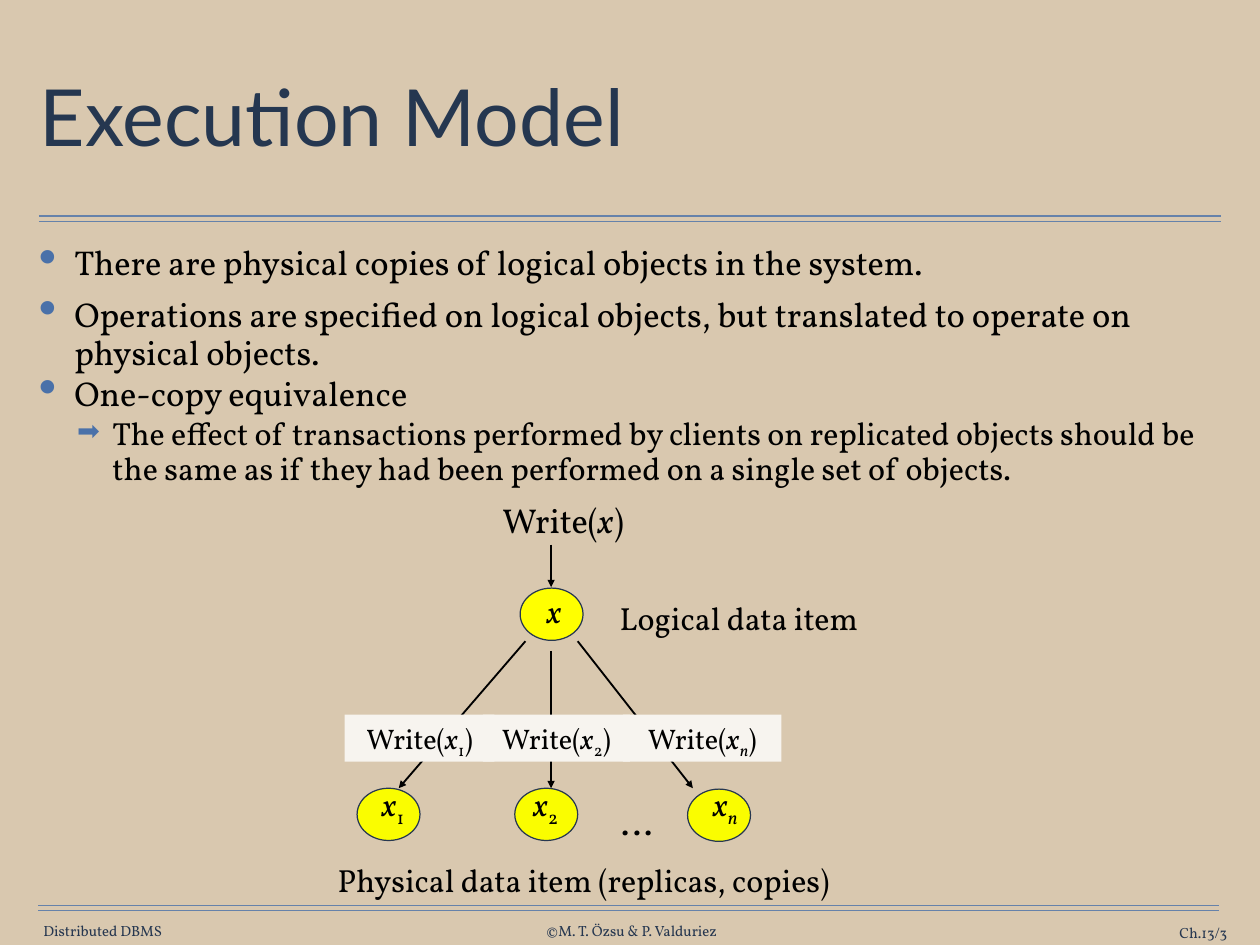
from lxml import etree
from pptx import Presentation
from pptx import util as u
from pptx.dml.color import RGBColor
from pptx.enum import shapes, text
from pptx.oxml import ns

COLORS = {
    "sand": "D9C8AF", "rule": "6682AA", "navy": "263750", "title": "253750",
    "black": "000000", "bullet": "4A71A9", "logical": "FFFF00",
    "physical": "FAFD00", "label": "F7F4EF",
}
SERIF = "Vollkorn"
LEFT, MID, RIGHT = text.PP_ALIGN.LEFT, text.PP_ALIGN.CENTER, text.PP_ALIGN.RIGHT
TOP, CENTRE = text.MSO_ANCHOR.TOP, text.MSO_ANCHOR.MIDDLE
SNUG, ROOMY = (0.1, 0.05), (0.14, 0.07)


def rgb(name):
    return RGBColor.from_string(COLORS[name])


def child(parent, tag, **attrs):
    return etree.SubElement(parent, ns.qn(tag), attrs)


def add_run(para, words, size, color="black", font=SERIF, style=""):
    """Style letters: i for italic, s for subscript."""
    run = para.add_run()
    run.text = words
    run.font.size = u.Pt(size)
    run.font.name = font
    run.font.italic = "i" in style
    run.font.color.rgb = rgb(color)
    if "s" in style:
        run._r.get_or_add_rPr().set("baseline", "-25000")


def add_box(slide, at, inset=ROOMY, anchor=TOP, wrap=False, fill=None):
    box = slide.shapes.add_textbox(*map(u.Inches, at))
    frame = box.text_frame
    frame.word_wrap = wrap
    frame.vertical_anchor = anchor
    frame.margin_left = frame.margin_right = u.Inches(inset[0])
    frame.margin_top = frame.margin_bottom = u.Inches(inset[1])
    if fill:
        box.fill.solid()
        box.fill.fore_color.rgb = rgb(fill)
    return frame


def add_label(slide, at, runs, size, align=MID, color="black", font=SERIF, **box):
    para = add_box(slide, at, **box).paragraphs[0]
    para.alignment = align
    for words, style in runs:
        add_run(para, words, size, color, font, style)
    return para


def add_line(slide, start, end, color="black", width=1.5, arrow=True):
    line = slide.shapes.add_connector(
        shapes.MSO_CONNECTOR.STRAIGHT, *map(u.Inches, start + end))
    line.line.color.rgb = rgb(color)
    line.line.width = u.Pt(width)
    if arrow:
        child(line.line._get_or_add_ln(), "a:tailEnd", type="triangle")
    child(line._element.spPr, "a:effectLst")


def add_node(slide, left, top, fill):
    node = slide.shapes.add_shape(
        shapes.MSO_SHAPE.OVAL, *map(u.Inches, (left, top, 0.71, 0.59)))
    node.shadow.inherit = False
    node.fill.solid()
    node.fill.fore_color.rgb = rgb(fill)
    node.line.color.rgb = rgb("navy")
    node.line.width = u.Pt(1)


def add_bullet(para, words, size, mark, scale, margin, before):
    para.line_spacing = 0.9
    para.space_before = u.Pt(before)
    props = para._p.get_or_add_pPr()
    props.set("marL", str(u.Inches(margin)))
    props.set("indent", str(u.Inches(-0.4)))
    child(child(props, "a:buClr"), "a:srgbClr", val=COLORS["bullet"])
    child(props, "a:buSzPct", val=str(scale * 1000))
    child(props, "a:buChar", char=mark)
    add_run(para, words, size)


def add_frame(slide):
    # Double rules and footer
    for left, right, top in ((0.44, 13.78, 2.44), (0.43, 13.76, 10.22)):
        for y in (top, top + 0.06):
            add_line(slide, (left, y), (right, y), "rule", 1, arrow=False)
    for words, at, align in (
        ("Distributed DBMS", (0.47, 10.41, 1.38, 0.2), MID),
        ("©M. T. Özsu & P. Valduriez", (6.11, 10.41, 2.04, 0.2), MID),
        ("Ch.13/3", (12.31, 10.43, 1.54, 0.2), RIGHT),
    ):
        add_label(slide, at, [(words, "")], 12, align, "navy",
                  inset=(0, 0), anchor=CENTRE, wrap=align == RIGHT)


def add_points(slide):
    # Title and bullet list
    title = add_label(slide, (0.39, 0.49, 13.44, 1.76), [("Execution Model", "")],
                      64, LEFT, "title", "Lato", inset=(0.06, 0.06),
                      anchor=CENTRE, wrap=True)
    title.line_spacing = 0.9
    body = add_box(slide, (0.38, 2.72, 13.44, 2.93), (0.06, 0.06), wrap=True)
    first, second = (28, "•", 150, 0.4), (26, "➡", 85, 0.83)
    points = (
        ("There are physical copies of logical objects in the system.", first, 12),
        ("Operations are specified on logical objects, but translated to "
         "operate on physical objects.", first, 12),
        ("One-copy equivalence", first, 3.5),
        ("The effect of transactions performed by clients on replicated objects "
         "should be the same as if they had been performed on a single set of "
         "objects.", second, 3.5),
    )
    for i, (words, level, before) in enumerate(points):
        para = body.add_paragraph() if i else body.paragraphs[0]
        add_bullet(para, words, *level, before)


def add_tree(slide):
    # Arrows
    for start, end in (
        ((6.52, 7.24), (7.82, 8.9)),
        ((5.93, 7.24), (4.5, 8.9)),
        ((6.22, 7.35), (6.22, 8.9)),
        ((6.22, 6.15), (6.22, 6.63)),
    ):
        add_line(slide, start, end)

    # Logical item
    add_label(slide, (5.5, 5.57, 1.71, 0.61),
              [("Write(", ""), ("x", "i"), (")", "")], 28)
    add_node(slide, 5.87, 6.64, "logical")
    add_label(slide, (6.02, 6.63, 0.47, 0.54), [("x", "i")], 26, inset=SNUG)

    # Replicas: index, its style, node left and top, name and write boxes
    for index, style, left, top, name, write in (
        ("1", "s", 4.03, 8.9, (4.17, 0.53), (3.89, 1.69)),
        ("2", "s", 5.81, 8.9, (5.86, 0.6), (5.45, 1.66)),
        ("n", "si", 7.76, 8.91, (7.82, 0.73), (7.03, 1.79)),
    ):
        item = [("x", "i"), (index, style)]
        add_node(slide, left, top, "physical")
        add_label(slide, (name[0], 8.81, name[1], 0.54), item, 26, inset=SNUG)
        add_label(slide, (write[0], 8.07, write[1], 0.53),
                  [("Write(", ""), *item, (")", "")], 23, fill="label", wrap=True)

    # Captions
    for words, at, size in (
        ("…", (6.83, 8.95, 0.71, 0.65), 30),
        ("Physical data item (replicas, copies)", (3.58, 9.65, 6.02, 0.58), 26),
        ("Logical data item", (6.8, 6.69, 3.08, 0.58), 26),
    ):
        add_label(slide, at, [(words, "")], size)


def main():
    deck = Presentation()
    deck.slide_width, deck.slide_height = u.Inches(14.22), u.Inches(10.67)
    slide = deck.slides.add_slide(deck.slide_layouts[6])
    slide.background.fill.solid()
    slide.background.fill.fore_color.rgb = rgb("sand")
    add_frame(slide)
    add_points(slide)
    add_tree(slide)
    deck.save("out.pptx")


if __name__ == "__main__":
    main()
